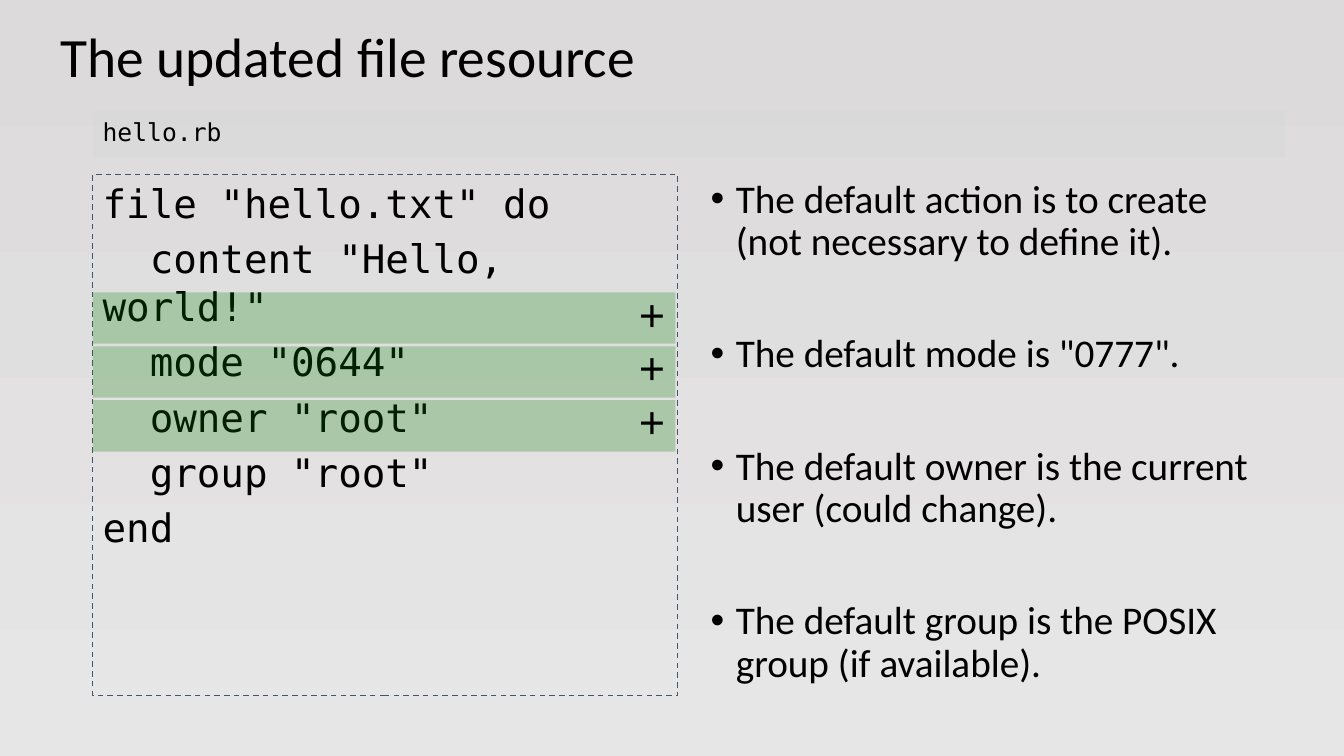
from dataclasses import dataclass, field

from lxml import etree
from pptx import Presentation
from pptx.dml.color import RGBColor
from pptx.enum.dml import MSO_LINE
from pptx.enum.shapes import MSO_SHAPE
from pptx.enum.text import MSO_ANCHOR, PP_ALIGN
from pptx.oxml.ns import qn
from pptx.util import Inches, Pt

RECT = MSO_SHAPE.RECTANGLE
DASH = MSO_LINE.DASH
TOP, MIDDLE = MSO_ANCHOR.TOP, MSO_ANCHOR.MIDDLE
LEFT, RIGHT = PP_ALIGN.LEFT, PP_ALIGN.RIGHT
MONO = "DejaVu Sans Mono"
EDGE = 0.92
WIDTH = 5.8
BODY = 1.73


@dataclass
class Box:
    left: float
    top: float
    width: float
    height: float
    lines: list[str]
    font: str
    size: float
    fill: str = ""
    alpha: int = 100
    border: str = ""
    bullet: str = ""
    gap: float = 0
    frame: dict = field(default_factory=dict)
    para: dict = field(default_factory=dict)


def paint(text: str) -> RGBColor:
    return RGBColor.from_string(text)


def apply(target, values: dict) -> None:
    for name, value in values.items():
        setattr(target, name, value)


def add_bullet(para, mark: str) -> None:
    props = para._p.get_or_add_pPr()
    props.set("marL", str(Inches(0.25)))
    props.set("indent", str(Inches(-0.25)))
    font = etree.SubElement(props, qn("a:buFont"))
    font.set("typeface", "Arial")
    char = etree.SubElement(props, qn("a:buChar"))
    char.set("char", mark)


def style_shape(shape, box: Box) -> None:
    shape.shadow.inherit = False
    if box.fill:
        shape.fill.solid()
        shape.fill.fore_color.rgb = paint(box.fill)
        color = shape._element.spPr.find(f".//{qn('a:srgbClr')}")
        alpha = etree.SubElement(color, qn("a:alpha"))
        alpha.set("val", str(box.alpha * 1000))
    else:
        shape.fill.background()
    if box.border:
        shape.line.color.rgb = paint(box.border)
        apply(shape.line, {"width": Pt(1), "dash_style": DASH})
    else:
        shape.line.fill.background()


def add_box(slide, box: Box) -> None:
    place = [Inches(n) for n in (box.left, box.top, box.width, box.height)]
    if box.fill or box.border:
        shape = slide.shapes.add_shape(RECT, *place)
        style_shape(shape, box)
    else:
        shape = slide.shapes.add_textbox(*place)
    frame = shape.text_frame
    apply(frame, {"word_wrap": True, "vertical_anchor": TOP} | box.frame)
    for index, line in enumerate(box.lines):
        para = frame.add_paragraph() if index else frame.paragraphs[0]
        if box.bullet:
            add_bullet(para, box.bullet)
        space = Pt(box.gap if index else 0)
        apply(para, {"alignment": LEFT, "space_before": space} | box.para)
        run = para.add_run()
        run.text = line
        apply(run.font, {"name": box.font, "size": Pt(box.size)})
        run.font.color.rgb = paint("000000")


def set_back(slide) -> None:
    fill = slide.background.fill
    fill.gradient()
    fill.gradient_angle = 270
    for stop, place, color in zip(fill.gradient_stops, (0, 1), ("DCDADA", "E7E6E6")):
        stop.position = place
        stop.color.rgb = paint(color)


CODE = [
    'file "hello.txt" do',
    '  content "Hello, world!"',
    '  mode "0644"',
    '  owner "root"',
    '  group "root"',
    "end",
]
NOTES = [
    "The default action is to create (not necessary to define it).",
    'The default mode is "0777".',
    "The default owner is the current user (could change).",
    "The default group is the POSIX group (if available).",
]
TIGHT = {"line_spacing": 0.9}
FLAT = {"margin_top": 0, "margin_bottom": 0}

BOXES = [
    Box(0.5, 0.25, 12.25, 0.68, ["The updated file resource"], "Calibri", 39.6,
        frame={"vertical_anchor": MIDDLE}, para=TIGHT),
    Box(EDGE, BODY, WIDTH, 5.17, CODE, MONO, 28, border="44546A", gap=6),
    Box(EDGE, 1.1, 11.83, 0.46, ["hello.rb"], MONO, 17.6, fill="D9D9D9", alpha=50,
        frame={"vertical_anchor": MIDDLE, "margin_bottom": Inches(0.1)}),
    Box(6.95, BODY, WIDTH, 5.16, NOTES, "Calibri", 28, bullet="•", gap=50, para=TIGHT),
]
BOXES += [
    Box(EDGE, 2.9 + 0.535 * row, 5.78, 0.51, ["+"], "Courier New", 32,
        fill="008000", alpha=25, frame=FLAT, para=TIGHT | {"alignment": RIGHT})
    for row in range(3)
]


def main() -> None:
    deck = Presentation()
    apply(deck, {"slide_width": Inches(13.33), "slide_height": Inches(7.5)})
    slide = deck.slides.add_slide(deck.slide_layouts[6])
    set_back(slide)
    for box in BOXES:
        add_box(slide, box)
    deck.save("out.pptx")


if __name__ == "__main__":
    main()
